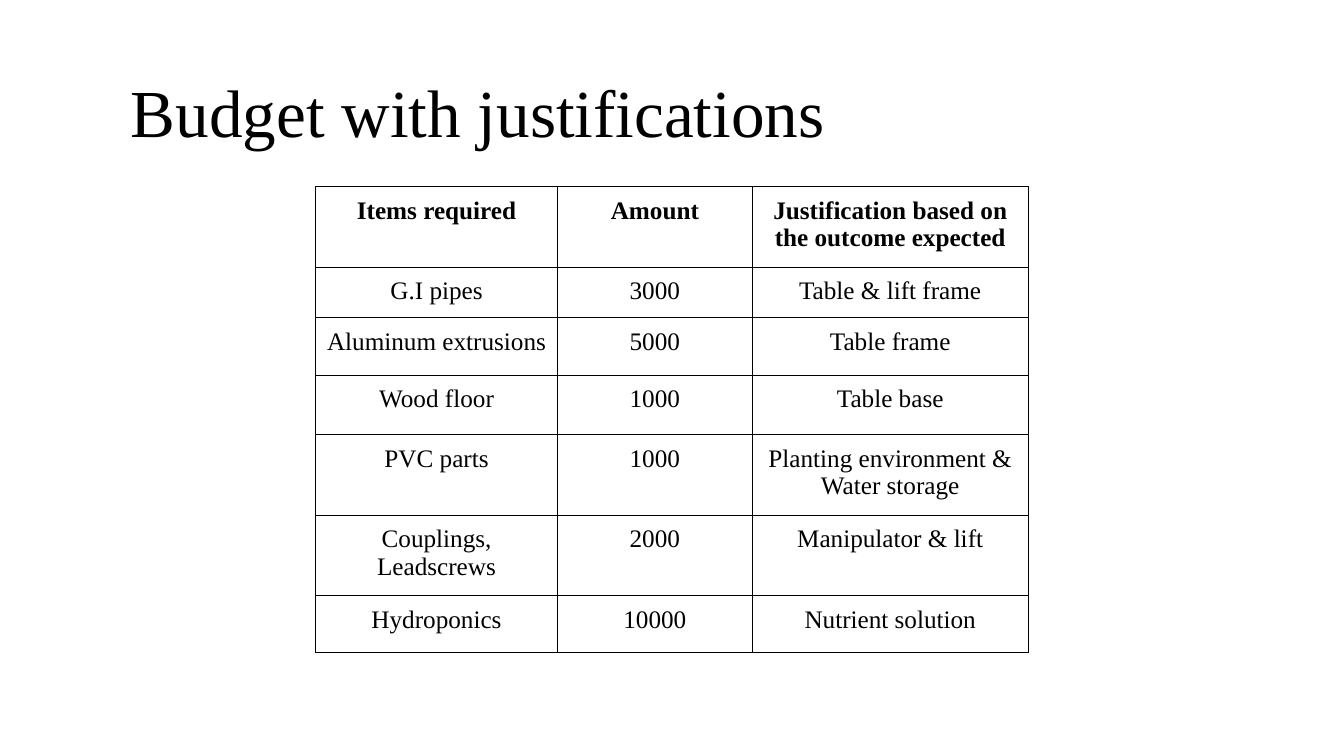
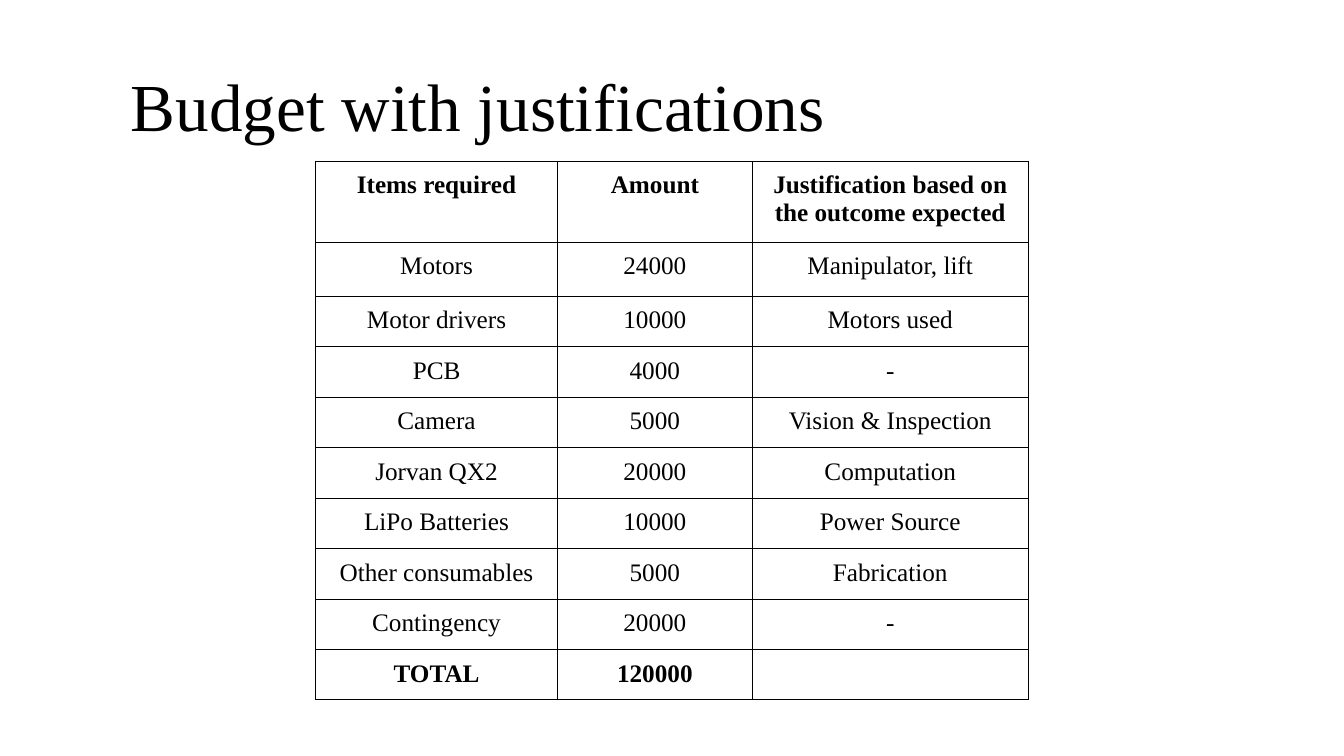
from lxml.etree import SubElement
from pptx import Presentation
from pptx.dml.color import RGBColor
from pptx.enum.text import MSO_ANCHOR, PP_ALIGN
from pptx.oxml.ns import qn
from pptx.util import Emu, Pt

BLACK = RGBColor(0x00, 0x00, 0x00)
WHITE = RGBColor(0xFF, 0xFF, 0xFF)
FONT = "Times New Roman"
TITLE = "Budget with justifications"
HEADER = ("Items required", "Amount", "Justification based on the outcome expected")
COLUMN_WIDTHS = (240, 193, 274)
TABLE_LEFT = 313
CELL_MARGIN = 10

MATERIALS = [
    ("G.I pipes", "3000", "Table & lift frame"),
    ("Aluminum extrusions", "5000", "Table frame"),
    ("Wood floor", "1000", "Table base"),
    ("PVC parts", "1000", "Planting environment & Water storage"),
    ("Couplings, Leadscrews", "2000", "Manipulator & lift"),
    ("Hydroponics", "10000", "Nutrient solution"),
]
ELECTRONICS = [
    ("Motors", "24000", "Manipulator, lift"),
    ("Motor drivers", "10000", "Motors used"),
    ("PCB", "4000", "-"),
    ("Camera", "5000", "Vision & Inspection"),
    ("Jorvan QX2", "20000", "Computation"),
    ("LiPo Batteries", "10000", "Power Source"),
    ("Other consumables", "5000", "Fabrication"),
    ("Contingency", "20000", "-"),
    ("TOTAL", "120000", ""),
]


def px(n):
    """Turn px, 100 to the inch, into EMU."""
    return Emu(n * 9144)


def set_font(p, size, bold=False):
    p.font.name = FONT
    p.font.size = Pt(size)
    p.font.bold = bold
    p.font.color.rgb = BLACK


def add_title(slide, top):
    tf = slide.shapes.add_textbox(px(120), px(top), px(900), px(125)).text_frame
    tf.word_wrap = True
    tf.vertical_anchor = MSO_ANCHOR.MIDDLE
    p = tf.paragraphs[0]
    p.text = TITLE
    p.line_spacing = 1.15
    p.space_after = Pt(10)
    set_font(p, 48)


def add_borders(cell):
    tc_pr = cell._tc.get_or_add_tcPr()
    for side in ("lnL", "lnR", "lnT", "lnB"):
        line = SubElement(tc_pr, qn(f"a:{side}"), w=str(Pt(0.75)))
        fill = SubElement(line, qn("a:solidFill"))
        SubElement(fill, qn("a:srgbClr"), val=str(BLACK))


def fill_cell(cell, text, bold):
    add_borders(cell)
    cell.fill.solid()
    cell.fill.fore_color.rgb = WHITE
    cell.margin_left = cell.margin_right = px(CELL_MARGIN)
    cell.margin_top = cell.margin_bottom = px(CELL_MARGIN)
    p = cell.text_frame.paragraphs[0]
    p.text = text
    p.alignment = PP_ALIGN.CENTER
    set_font(p, 18, bold)


def add_budget_table(slide, top, items, heights):
    """Add the header and items; the header and a TOTAL row are bold."""
    rows = [HEADER, *items]
    table = slide.shapes.add_table(
        len(rows), len(HEADER), px(TABLE_LEFT), px(top),
        px(sum(COLUMN_WIDTHS)), px(sum(heights))).table
    table.horz_banding = False
    table.first_row = False
    for column, width in zip(table.columns, COLUMN_WIDTHS):
        column.width = px(width)
    for row, height, texts in zip(table.rows, heights, rows):
        row.height = px(height)
        bold = texts is HEADER or texts[0] == "TOTAL"
        for cell, text in zip(row.cells, texts):
            fill_cell(cell, text, bold)


def add_budget_slide(prs, title_top, table_top, items, heights):
    slide = prs.slides.add_slide(prs.slide_layouts[6])
    add_title(slide, title_top)
    add_budget_table(slide, table_top, items, heights)


def main():
    prs = Presentation()
    prs.slide_width, prs.slide_height = px(1333), px(750)
    add_budget_slide(prs, 41, 185, MATERIALS, [79, 50, 57, 59, 75, 75, 56])
    add_budget_slide(prs, 35, 160, ELECTRONICS, [75, 54] + [48] * 8)
    prs.save("out.pptx")


if __name__ == "__main__":
    main()
